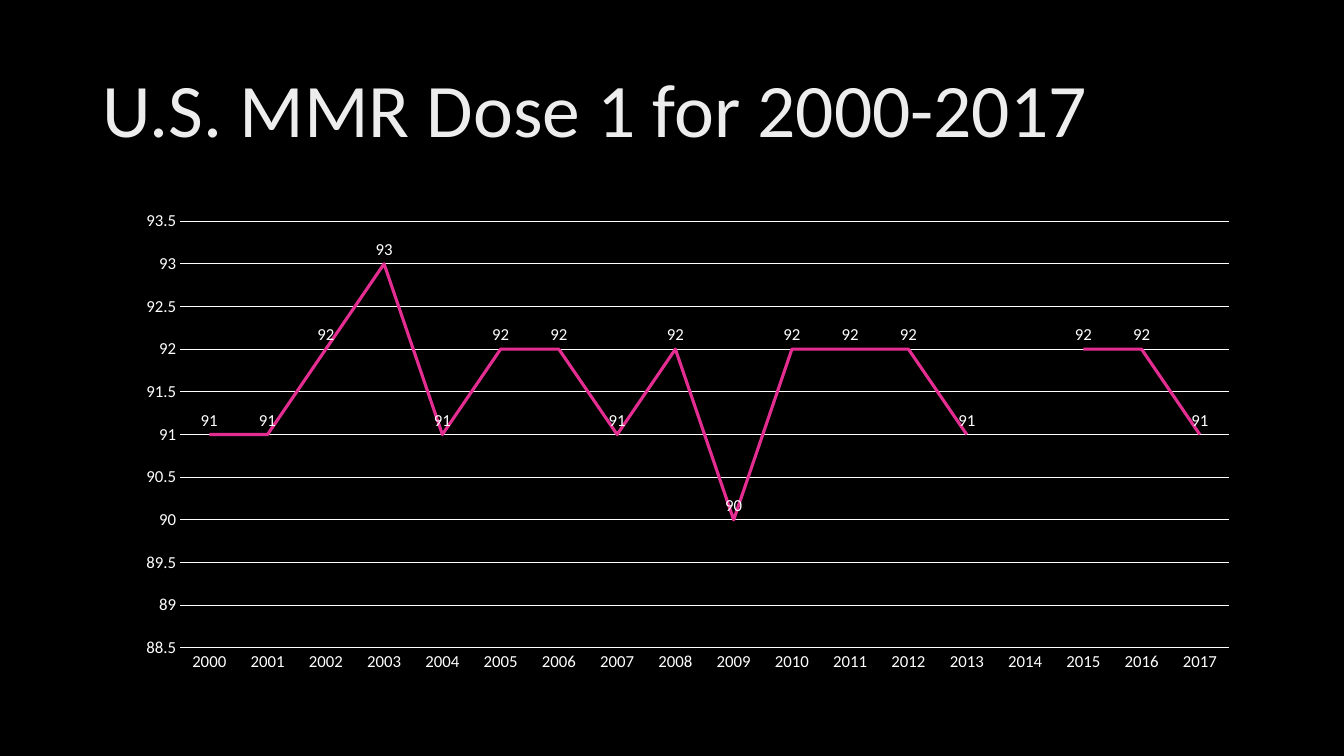
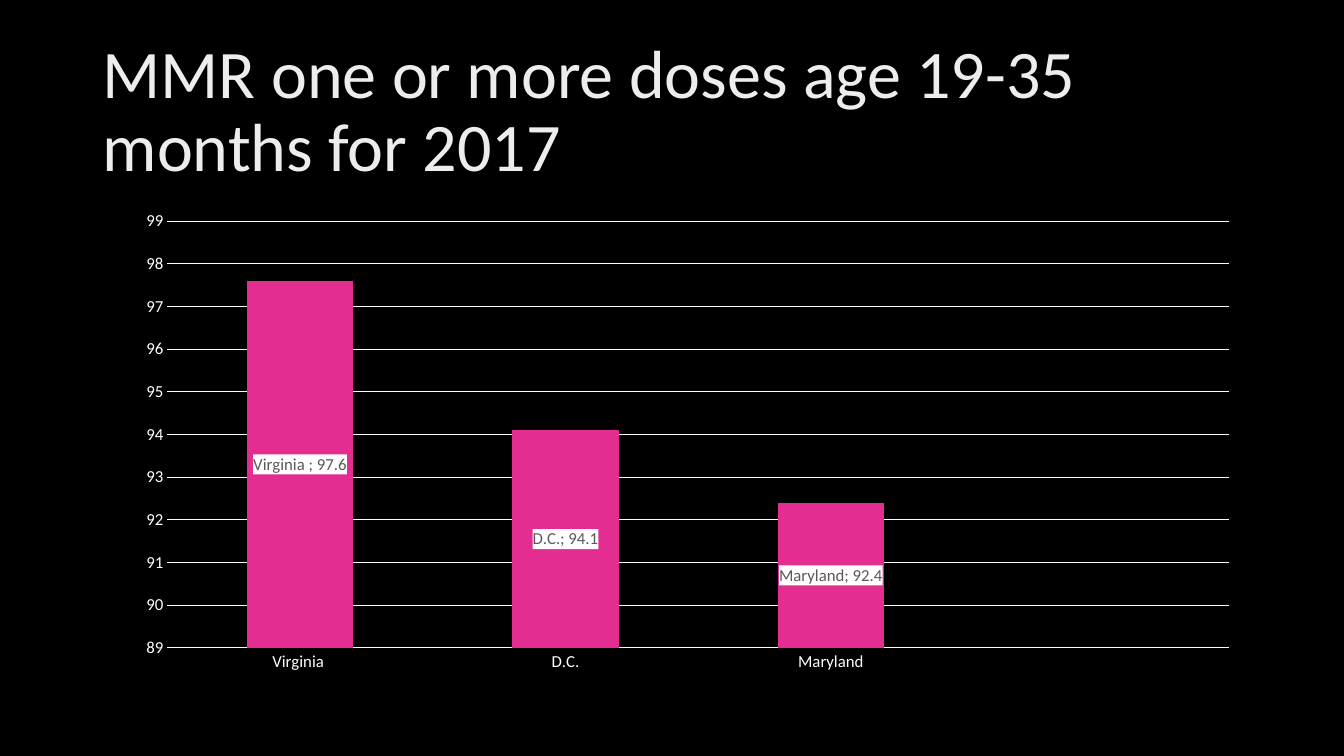
"""Build two slides of vaccination coverage charts."""
import pptx
import pptx.chart.data
import pptx.dml.color
import pptx.enum.chart
import pptx.enum.text
import pptx.oxml
import pptx.oxml.ns
import pptx.util
from pptx.util import Cm

FONT = "Calibri"
BLACK, WHITE, TITLE_GREY, LABEL_GREY = "000000", "FFFFFF", "EDEDED", "595959"
SERIES_COLOURS = ["E32D91", "C830CC", "4EA6DC"]
TITLE_AREA = Cm(2.34), Cm(1.01), Cm(29.21), Cm(3.68)
CHART_AREA = Cm(3.12), Cm(5.08), Cm(28.42), Cm(12.09)
CHART_TYPE = pptx.enum.chart.XL_CHART_TYPE
LABEL_POSITION = pptx.enum.chart.XL_LABEL_POSITION
YEARS = [str(year) for year in range(2000, 2018)]
YEAR_RATES = [91, 91, 92, 93, 91, 92, 92, 91, 92, 90, 92, 92, 92, 91, None, 92, 92, 91]
STATES = ["Virginia ", "D.C.", "Maryland", ""]
STATE_RATES = [97.6, 94.1, 92.4, None]


def colour(hex_code):
    """Turn a hex string into a colour."""
    return pptx.dml.color.RGBColor.from_string(hex_code)


def apply(target, **values):
    """Set each named attribute on the target."""
    for name, value in values.items():
        setattr(target, name, value)


def style_font(font, size, hex_code):
    """Give a font its face, size and colour."""
    apply(font, name=FONT, size=pptx.util.Pt(size), bold=False)
    font.color.rgb = colour(hex_code)


def style_line(line, hex_code, width):
    """Give a line its colour and width."""
    line.color.rgb = colour(hex_code)
    line.width = pptx.util.Pt(width)


def add_title(slide, text, size):
    """Add the slide title."""
    box = slide.shapes.add_textbox(*TITLE_AREA)
    apply(box.text_frame, word_wrap=True,
          vertical_anchor=pptx.enum.text.MSO_ANCHOR.MIDDLE)
    para = box.text_frame.paragraphs[0]
    para.line_spacing = 0.9
    span = para.add_run()
    span.text = text
    style_font(span.font, size, TITLE_GREY)


def style_axes(chart, low, high, step):
    """Style both axes and set the value scale."""
    for axis in (chart.category_axis, chart.value_axis):
        apply(axis, major_tick_mark=pptx.enum.chart.XL_TICK_MARK.NONE,
              minor_tick_mark=pptx.enum.chart.XL_TICK_MARK.NONE)
        style_font(axis.tick_labels.font, 12, WHITE)
    style_line(chart.category_axis.format.line, WHITE, 0.75)
    apply(chart.value_axis, minimum_scale=low, maximum_scale=high,
          major_unit=step, has_major_gridlines=True)
    apply(chart.value_axis.tick_labels, number_format="General",
          number_format_is_linked=False)
    chart.value_axis.format.line.fill.background()
    style_line(chart.value_axis.major_gridlines.format.line, WHITE, 0.75)


def add_chart(slide, kind, categories, rates, scale):
    """Add a chart of one filled and two empty series."""
    data = pptx.chart.data.CategoryChartData()
    data.categories = categories
    blanks = [None] * len(rates)
    for number, values in enumerate([rates, blanks, blanks], 1):
        data.add_series(f"Series {number}", values)
    chart = slide.shapes.add_chart(kind, *CHART_AREA, data).chart
    apply(chart, has_legend=False, has_title=False)
    style_font(chart.font, 10, WHITE)
    style_axes(chart, *scale)
    chart.plots[0].vary_by_categories = False
    return chart


def add_labels(series, hex_code, position, **values):
    """Show the values of a series."""
    labels = series.data_labels
    style_font(labels.font, 12, hex_code)
    apply(labels, show_value=True, position=position, **values)
    return labels


def fill_labels(labels, hex_code, separator):
    """Give data labels a filled box and a separator."""
    element, qn = labels._element, pptx.oxml.ns.qn
    box = pptx.oxml.parse_xml(
        f'<c:spPr {pptx.oxml.ns.nsdecls("c", "a")}><a:solidFill>'
        f'<a:srgbClr val="{hex_code}"/></a:solidFill></c:spPr>')
    element.find(qn("c:txPr")).addprevious(box)
    mark = pptx.oxml.parse_xml(
        f'<c:separator {pptx.oxml.ns.nsdecls("c")}>{separator}</c:separator>')
    element.find(qn("c:showBubbleSize")).addnext(mark)


def add_line_chart(slide):
    """Add the yearly line chart."""
    chart = add_chart(slide, CHART_TYPE.LINE, YEARS, YEAR_RATES, (88.5, 93.5, 0.5))
    for series, hex_code in zip(chart.series, SERIES_COLOURS):
        series.smooth = False
        style_line(series.format.line, hex_code, 2.25)
    add_labels(chart.series[0], WHITE, LABEL_POSITION.ABOVE)


def add_column_chart(slide):
    """Add the column chart by state."""
    chart = add_chart(slide, CHART_TYPE.COLUMN_STACKED, STATES, STATE_RATES, (89, 99, 1))
    apply(chart.plots[0], gap_width=150, overlap=100)
    for series, hex_code in zip(chart.series, SERIES_COLOURS):
        series.format.fill.solid()
        series.format.fill.fore_color.rgb = colour(hex_code)
    labels = add_labels(chart.series[0], LABEL_GREY, LABEL_POSITION.CENTER,
                        show_category_name=True)
    fill_labels(labels, WHITE, "; ")


def add_slide(deck, title, size):
    """Add a black slide with its title."""
    slide = deck.slides.add_slide(deck.slide_layouts[6])
    slide.background.fill.solid()
    slide.background.fill.fore_color.rgb = colour(BLACK)
    add_title(slide, title, size)
    return slide


def main():
    """Build and save the deck."""
    deck = pptx.Presentation()
    apply(deck, slide_width=Cm(33.87), slide_height=Cm(19.05))
    add_line_chart(add_slide(deck, "U.S. MMR Dose 1 for 2000-2017", 54))
    add_column_chart(add_slide(
        deck, "MMR one or more doses age 19-35 months for 2017", 48.6))
    deck.save("out.pptx")


if __name__ == "__main__":
    main()
